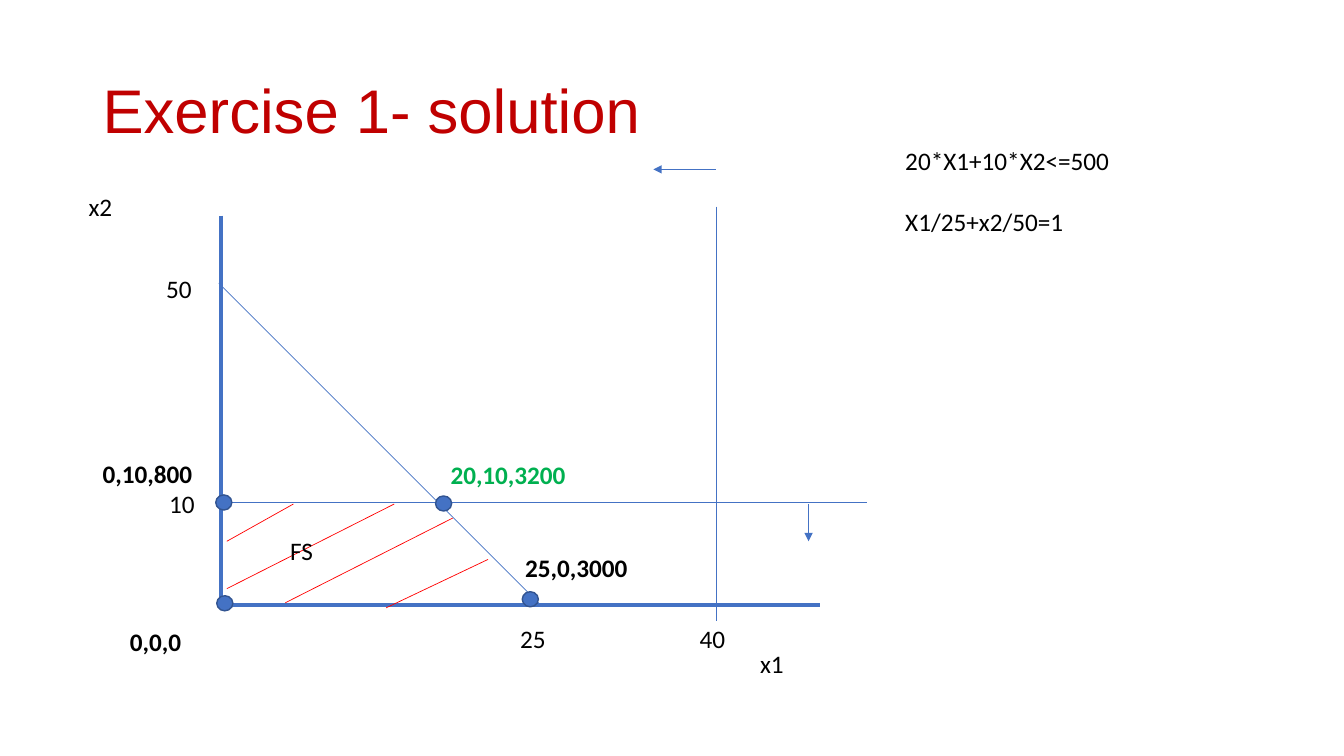
from dataclasses import dataclass

from lxml import etree
from pptx import Presentation
from pptx.dml.color import RGBColor
from pptx.enum.shapes import MSO_CONNECTOR, MSO_SHAPE
from pptx.enum.text import MSO_ANCHOR, MSO_AUTO_SIZE
from pptx.oxml.ns import qn
from pptx.util import Pt

STRAIGHT = MSO_CONNECTOR.STRAIGHT
ELLIPSE = MSO_SHAPE.OVAL
MIDDLE, TOP = MSO_ANCHOR.MIDDLE, MSO_ANCHOR.TOP
NO_FIT, GROW = MSO_AUTO_SIZE.NONE, MSO_AUTO_SIZE.SHAPE_TO_FIT_TEXT

PX = 9144
BLUE, DARK_BLUE, RED = "4472C4", "325491", "FF0000"
BLACK, GREEN, TITLE_RED = "000000", "00B050", "C00000"
POINT_W, POINT_H = 16, 15


@dataclass
class Line:
    x1: int
    y1: int
    x2: int
    y2: int
    color: str = BLUE
    width: float = 0.5
    arrow: bool = False


@dataclass
class Label:
    text: str
    x: int
    y: int
    w: int
    h: int = 40
    color: str = BLACK
    bold: bool = False
    size: int = 18
    font: str = "Calibri"
    wrap: bool = True
    gap: int = 0


@dataclass
class Point:
    x: int
    y: int


TITLE = Label("Exercise 1- solution", 92, 40, 1150, 145, TITLE_RED, size=44, font="Arial")

AXES = [
    Line(219, 214, 219, 602, width=3),
    Line(222, 600, 813, 600, width=3),
]
CONSTRAINTS = [
    Line(710, 205, 710, 616),
    Line(710, 168, 648, 168, arrow=True),
    Line(222, 498, 860, 498),
    Line(802, 500, 802, 537, arrow=True),
    Line(217, 281, 538, 602),
]
HATCHING = [
    Line(225, 537, 291, 500, RED),
    Line(225, 584, 391, 500, RED),
    Line(283, 598, 449, 514, RED),
    Line(383, 603, 484, 555, RED),
]
LABELS = [
    Label("x2", 78, 185, 103),
    Label("x1", 744, 638, 103),
    Label("40", 684, 613, 133),
    Label("10", 158, 480, 133),
    Label("25", 506, 613, 133),
    Label("50", 155, 266, 67),
    Label("20*X1+10*X2<=500\nX1/25+x2/50=1", 888, 139, 225, 101, wrap=False, gap=22),
    Label("FS", 278, 526, 112),
]
CORNERS = [Point(432, 492), Point(518, 587), Point(214, 491), Point(215, 591)]
CORNER_VALUES = [
    Label("20,10,3200", 437, 451, 164, color=GREEN, bold=True),
    Label("25,0,3000", 511, 543, 164, bold=True),
    Label("0,10,800", 92, 450, 164, bold=True),
    Label("0,0,0", 119, 616, 164, bold=True),
]


def px(n: int) -> int:
    """Turn px into EMU."""
    return n * PX


def rgb(color: str) -> RGBColor:
    """Turn a hex string into a colour."""
    return RGBColor.from_string(color)


def draw_line(slide, line: Line) -> None:
    """Draw a straight line, with an arrowhead at its end if asked."""
    s = slide.shapes.add_connector(
        STRAIGHT, px(line.x1), px(line.y1), px(line.x2), px(line.y2))
    s.line.color.rgb = rgb(line.color)
    s.line.width = Pt(line.width)
    if line.arrow:
        etree.SubElement(s.line._get_or_add_ln(), qn("a:tailEnd"), type="triangle")
    etree.SubElement(s._element.spPr, qn("a:effectLst"))


def draw_label(slide, label: Label):
    """Draw a text box and return its text frame."""
    s = slide.shapes.add_textbox(px(label.x), px(label.y), px(label.w), px(label.h))
    tf = s.text_frame
    tf.text = label.text
    tf.word_wrap = label.wrap
    tf.auto_size = GROW
    tf.vertical_anchor = TOP
    for i, p in enumerate(tf.paragraphs):
        p.space_before = Pt(label.gap if i else 0)
        for r in p.runs:
            r.font.size = Pt(label.size)
            r.font.name = label.font
            r.font.bold = label.bold
            r.font.color.rgb = rgb(label.color)
    return tf


def draw_title(slide, title: Label) -> None:
    """Draw the title, centred vertically with tight line spacing."""
    tf = draw_label(slide, title)
    tf.auto_size = NO_FIT
    tf.vertical_anchor = MIDDLE
    tf.paragraphs[0].line_spacing = 0.9


def draw_point(slide, point: Point) -> None:
    """Draw a corner point of the feasible region."""
    s = slide.shapes.add_shape(
        ELLIPSE, px(point.x), px(point.y), px(POINT_W), px(POINT_H))
    s.shadow.inherit = False
    s.fill.solid()
    s.fill.fore_color.rgb = rgb(BLUE)
    s.line.color.rgb = rgb(DARK_BLUE)
    s.line.width = Pt(1)


def main() -> None:
    """Build the slide and save it."""
    prs = Presentation()
    prs.slide_width, prs.slide_height = px(1333), px(750)
    slide = prs.slides.add_slide(prs.slide_layouts[6])
    draw_title(slide, TITLE)
    for line in AXES + CONSTRAINTS + HATCHING:
        draw_line(slide, line)
    for label in LABELS:
        draw_label(slide, label)
    for point in CORNERS:
        draw_point(slide, point)
    for label in CORNER_VALUES:
        draw_label(slide, label)
    prs.save("out.pptx")


if __name__ == "__main__":
    main()
